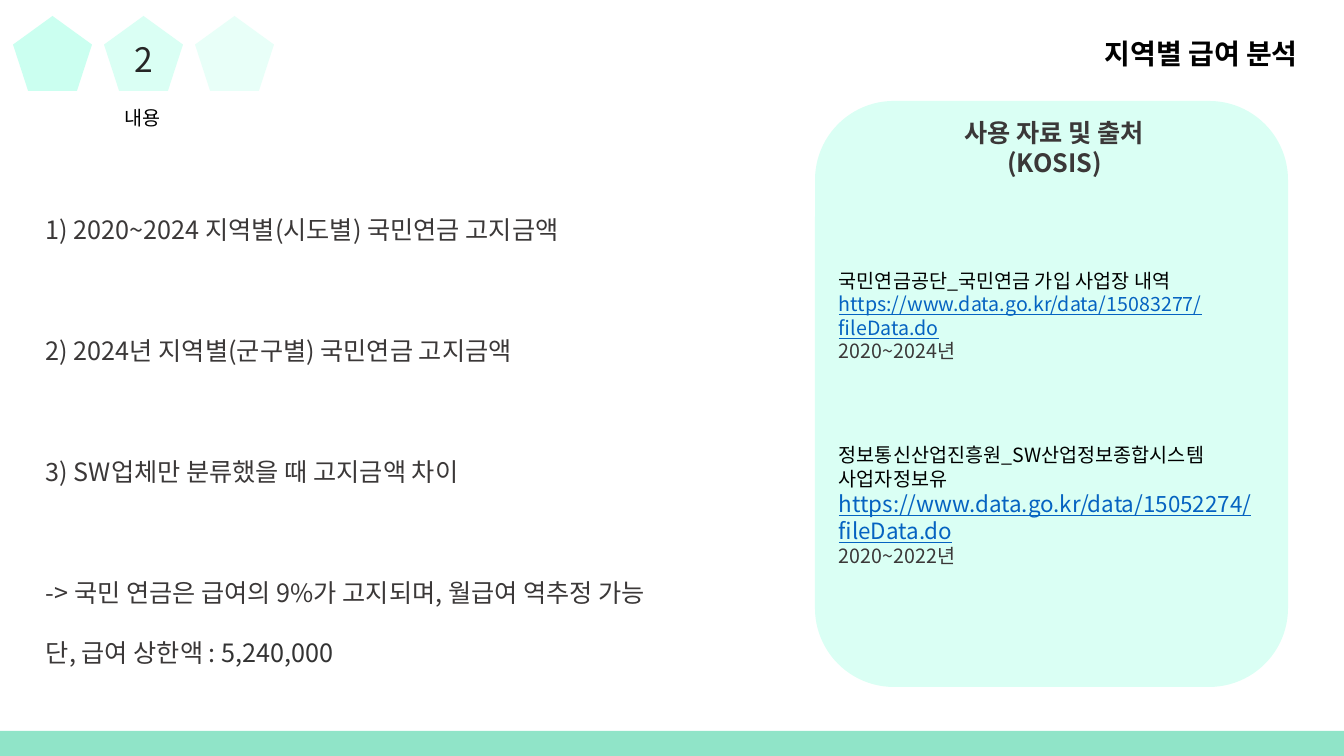
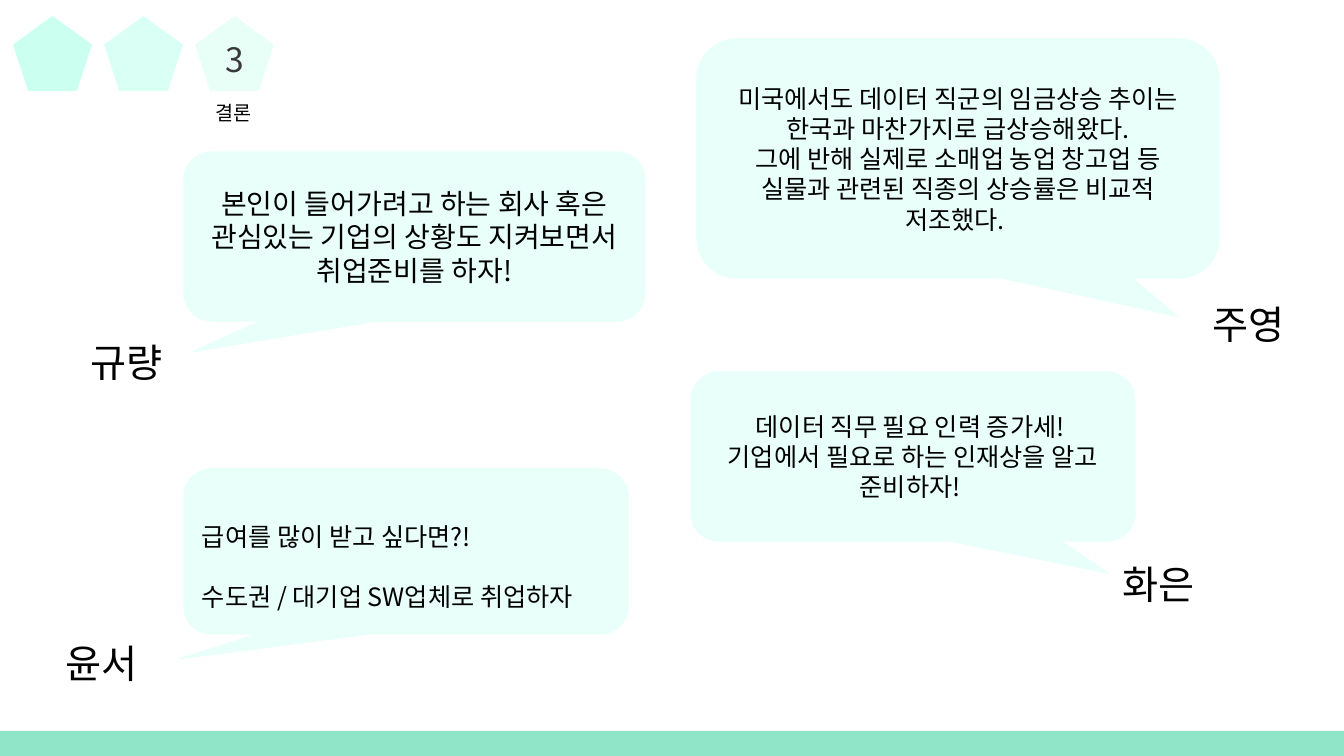
import pptx
import pptx.util
import pptx.oxml
import pptx.oxml.ns
import pptx.dml.color
import pptx.enum.shapes
import pptx.enum.text

RGBColor = pptx.dml.color.RGBColor
SHAPE = pptx.enum.shapes.MSO_SHAPE
ALIGN = pptx.enum.text.PP_ALIGN
ANCHOR = pptx.enum.text.MSO_ANCHOR
qn = pptx.oxml.ns.qn

BLACK = RGBColor(0x00, 0x00, 0x00)
NEAR_BLACK = RGBColor(0x26, 0x26, 0x26)
CHARCOAL = RGBColor(0x3B, 0x38, 0x38)
DARK_GREY = RGBColor(0x33, 0x33, 0x33)
LINK_BLUE = RGBColor(0x05, 0x63, 0xC1)
MINT = RGBColor(0xB6, 0xFF, 0xEA)
BAND_GREEN = RGBColor(0x90, 0xE4, 0xC8)
PANEL_MINT = RGBColor(0xDA, 0xFF, 0xF4)
BUBBLE_MINT = RGBColor(0xE9, 0xFF, 0xF9)

FONT = "Noto Sans CJK KR"
EMU_PER_PX = 914400 / 100.8
SLIDE_WIDTH, SLIDE_HEIGHT = 1344, 756
BAND_HEIGHT = 25

STEP_LEFT, STEP_TOP, STEP_PITCH = 13, 16, 91
STEP_WIDTH, STEP_HEIGHT = 79, 75
STEP_ALPHAS = (70, 50, 30)

TITLE = "지역별 급여 분석"
TITLE_BOX = (801, 31, 507, 44)

FINDINGS_BOX = (36, 179, 789, 489)
FINDINGS = [
    ("1) 2020~2024 지역별(시도별) 국민연금 고지금액", {}),
    ("2) 2024년 지역별(군구별) 국민연금 고지금액", {"before": 43.2}),
    ("3) SW업체만 분류했을 때 고지금액 차이", {"before": 43.2}),
    ("-> 국민 연금은 급여의 9%가 고지되며, 월급여 역추정 가능", {"before": 43.2}),
    ("단, 급여 상한액 : ", {}),
    ("5,240,000", {"color": DARK_GREY, "same_line": True}),
]

PANEL_BOX = (815, 101, 473, 586)
SOURCES_BOX = (829, 112, 451, 465)
HEADING = {"size": 18, "color": CHARCOAL, "bold": True, "align": ALIGN.CENTER}
LINK = {"color": LINK_BLUE, "underline": True}
SOURCES = [
    ("사용 자료 및 출처", HEADING),
    ("(KOSIS)", HEADING),
    ("국민연금공단_국민연금 가입 사업장 내역", {"before": 65}),
    ("https://www.data.go.kr/data/15083277/fileData.do", LINK),
    ("2020~2024년", {"color": CHARCOAL}),
    ("정보통신산업진흥원_SW산업정보종합시스템 사업자정보유", {"before": 57.5}),
    ("https://www.data.go.kr/data/15052274/fileData.do", {**LINK, "size": 16}),
    ("2020~2022년", {"color": CHARCOAL}),
]

CENTRED = {"size": 18, "align": ALIGN.CENTER}
OPINIONS = [
    {"name": "규량", "name_at": (81, 333), "box": (184, 152, 461, 169),
     "tail": (-0.48, 0.68), "format": {"size": 20, "align": ALIGN.CENTER},
     "lines": ["본인이 들어가려고 하는 회사 혹은 관심있는 기업의 상황도 지켜보면서 취업준비를 하자!"]},
    {"name": "윤서", "name_at": (56, 634), "box": (184, 469, 444, 165),
     "tail": (-0.51, 0.65), "format": {"size": 18, "spacing": 2},
     "lines": ["급여를 많이 받고 싶다면?!", "수도권 / 대기업 SW업체로 취업하자"]},
    {"name": "주영", "name_at": (1203, 295), "box": (697, 39, 522, 239),
     "tail": (0.42, 0.66), "format": CENTRED,
     "lines": ["미국에서도 데이터 직군의 임금상승 추이는 한국과 마찬가지로 급상승해왔다.",
               "그에 반해 실제로 소매업 농업 창고업 등 실물과 관련된 직종의 상승률은 비교적 저조했다. "]},
    {"name": "화은", "name_at": (1113, 555), "box": (691, 372, 444, 169),
     "tail": (0.44, 0.69), "format": CENTRED,
     "lines": ["데이터 직무 필요 인력 증가세! ", "기업에서 필요로 하는 인재상을 알고", "준비하자! "]},
]


def px(*lengths):
    return [pptx.util.Emu(round(length * EMU_PER_PX)) for length in lengths]


def write(frame, text, size=14, color=BLACK, bold=False, underline=False,
          align=ALIGN.LEFT, spacing=None, before=0, same_line=False):
    paragraph = frame.paragraphs[-1]
    if paragraph.runs and not same_line:
        paragraph = frame.add_paragraph()
    if not same_line:
        paragraph.alignment = align
        paragraph.space_before = pptx.util.Pt(before)
        if spacing:
            paragraph.line_spacing = spacing
    run = paragraph.add_run()
    run.text = text
    font = run.font
    font.name, font.size = FONT, pptx.util.Pt(size)
    font.bold, font.underline = bold, underline
    font.color.rgb = color
    latin = font._element.find(qn("a:latin"))
    latin.addnext(pptx.oxml.parse_xml(
        f'<a:ea {pptx.oxml.ns.nsdecls("a")} typeface="{FONT}"/>'))


def add_text(slide, box, entries, wrap=True, **shared):
    frame = slide.shapes.add_textbox(*px(*box)).text_frame
    frame.word_wrap = wrap
    for text, changes in entries:
        write(frame, text, **{**shared, **changes})


def add_block(slide, kind, box, color, alpha=None):
    block = slide.shapes.add_shape(kind, *px(*box))
    block.shadow.inherit = False
    block.fill.solid()
    block.fill.fore_color.rgb = color
    block.line.fill.background()
    if alpha is not None:
        tint = block.element.spPr.find(qn("a:solidFill")).find(qn("a:srgbClr"))
        tint.append(pptx.oxml.parse_xml(
            f'<a:alpha {pptx.oxml.ns.nsdecls("a")} val="{alpha * 1000}"/>'))
    return block


def add_frame(slide, active, label, label_top, number_color):
    for number, alpha in enumerate(STEP_ALPHAS, start=1):
        left = STEP_LEFT + (number - 1) * STEP_PITCH
        step = add_block(slide, SHAPE.REGULAR_PENTAGON,
                         (left, STEP_TOP, STEP_WIDTH, STEP_HEIGHT), MINT, alpha)
        if number == active:
            step.text_frame.vertical_anchor = ANCHOR.TOP
            write(step.text_frame, str(number), size=24, align=ALIGN.CENTER,
                  color=number_color)
            add_text(slide, (left + 11, label_top, 57, 34), [(label, {})], wrap=False)
    add_block(slide, SHAPE.RECTANGLE,
              (0, SLIDE_HEIGHT - BAND_HEIGHT, SLIDE_WIDTH, BAND_HEIGHT), BAND_GREEN)


def add_title(slide, text):
    title = slide.shapes.title
    title.left, title.top, title.width, title.height = px(*TITLE_BOX)
    title.text_frame.word_wrap = True
    title.text_frame.auto_size = pptx.enum.text.MSO_AUTO_SIZE.NONE
    title.text_frame.vertical_anchor = ANCHOR.TOP
    write(title.text_frame, text, size=20, bold=True, align=ALIGN.RIGHT)


def add_opinion(slide, opinion):
    bubble = add_block(slide, SHAPE.ROUNDED_RECTANGULAR_CALLOUT, opinion["box"], BUBBLE_MINT)
    bubble.line.color.rgb = BUBBLE_MINT
    bubble.line.width = pptx.util.Pt(1)
    bubble.adjustments[0], bubble.adjustments[1] = opinion["tail"]
    bubble.text_frame.vertical_anchor = ANCHOR.MIDDLE
    for line in opinion["lines"]:
        write(bubble.text_frame, line, **opinion["format"])
    add_text(slide, (*opinion["name_at"], 95, 57), [(opinion["name"], {})],
             wrap=False, size=28)


def main():
    deck = pptx.Presentation()
    deck.slide_width, deck.slide_height = px(SLIDE_WIDTH, SLIDE_HEIGHT)
    title_only, blank = deck.slide_layouts[5], deck.slide_layouts[6]

    analysis = deck.slides.add_slide(title_only)
    add_frame(analysis, 2, "내용", 101, NEAR_BLACK)
    add_title(analysis, TITLE)
    add_text(analysis, FINDINGS_BOX, FINDINGS, size=18, color=CHARCOAL, spacing=2)
    add_block(analysis, SHAPE.ROUNDED_RECTANGLE, PANEL_BOX, PANEL_MINT)
    add_text(analysis, SOURCES_BOX, SOURCES)

    conclusion = deck.slides.add_slide(blank)
    add_frame(conclusion, 3, "결론", 96, CHARCOAL)
    for opinion in OPINIONS:
        add_opinion(conclusion, opinion)

    deck.save("out.pptx")


if __name__ == "__main__":
    main()
